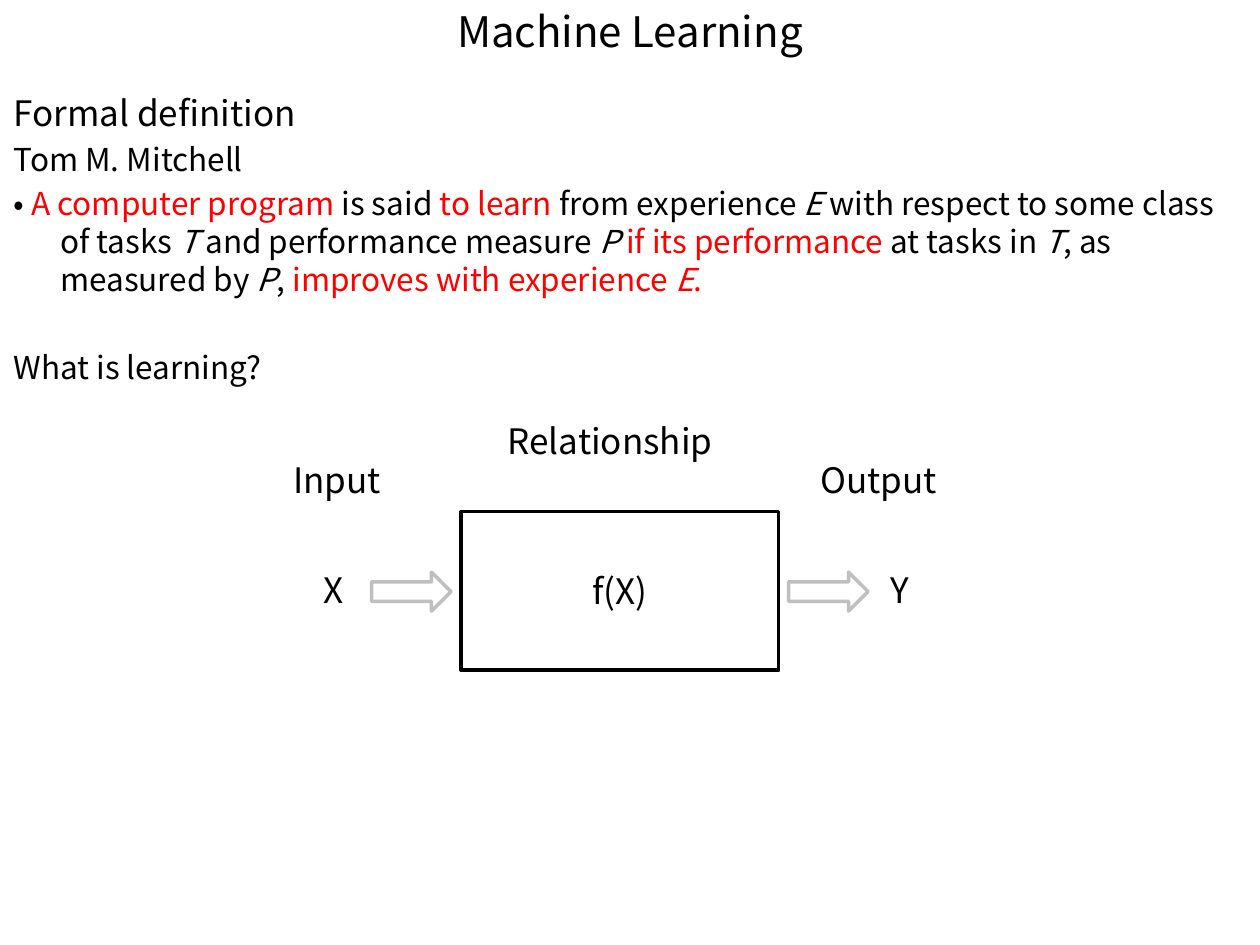
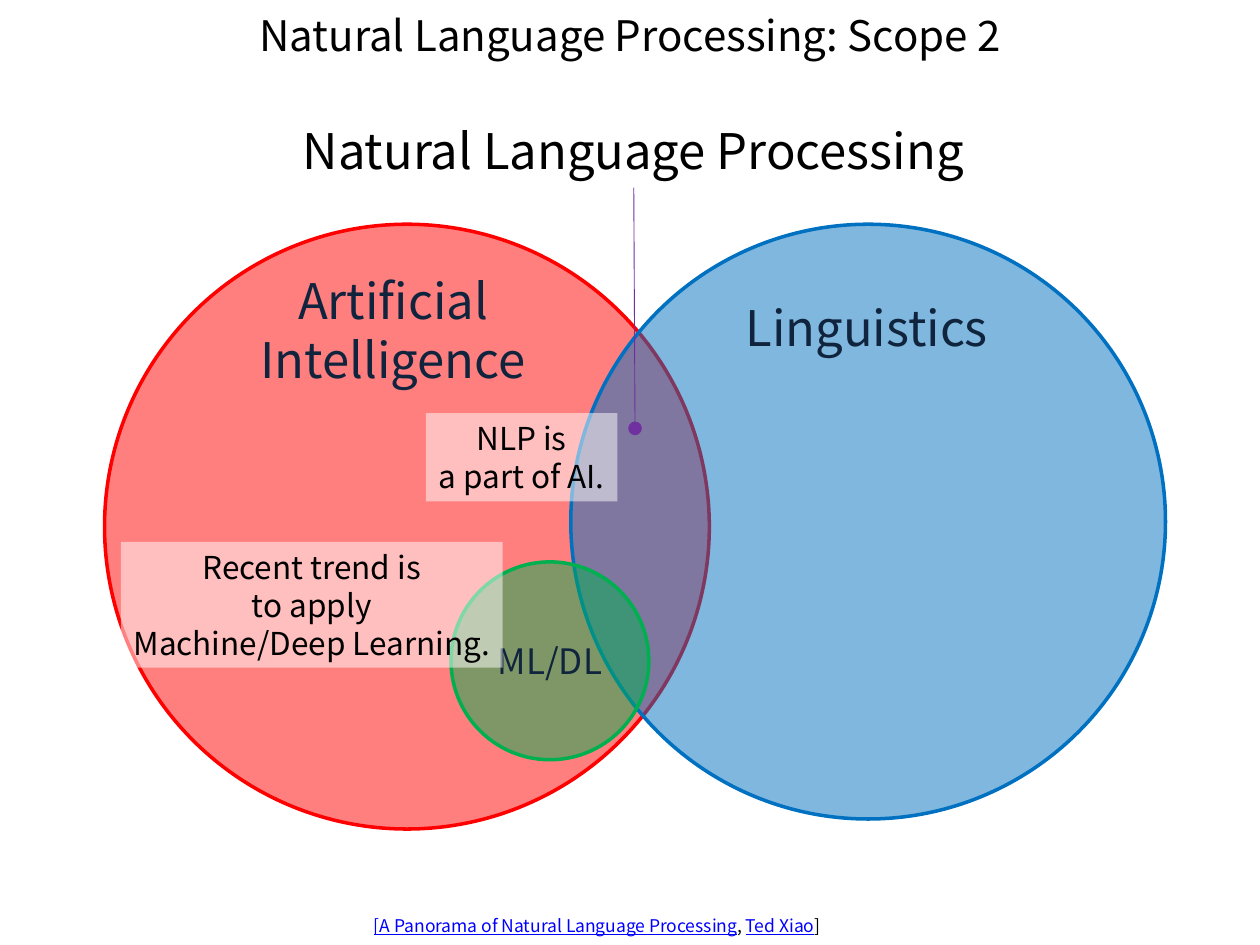
"""Builds two lecture slides on machine learning and the scope of natural language processing."""
from lxml.etree import SubElement
from pptx import Presentation
from pptx.dml.color import RGBColor
from pptx.enum.shapes import MSO_CONNECTOR, MSO_SHAPE
from pptx.enum.text import MSO_ANCHOR, MSO_AUTO_SIZE, PP_ALIGN
from pptx.oxml.ns import qn
from pptx.util import Emu, Pt

COLORS = {
    "black": "000000", "white": "FFFFFF", "navy": "10243E", "gray": "BFBFBF",
    "red": "FF0000", "blue": "0070C0", "green": "00B050", "purple": "7030A0",
    "link": "0000FF",
}
PX = 9144


def px(length):
    return Emu(length * PX)


def rgb(name):
    return RGBColor.from_string(COLORS[name])


class Deck:
    font = "Noto Sans CJK KR"

    def __init__(self):
        self.prs = Presentation()
        self.prs.slide_width, self.prs.slide_height = px(1000), px(750)
        self.slide = None

    def start(self, title, top=0):
        self.slide = self.prs.slides.add_slide(self.prs.slide_layouts[5])
        heading = self.slide.shapes.title
        heading.left, heading.top = px(0), px(top)
        heading.width, heading.height = px(1000), px(55)
        self.put_text(heading, title, 24, center=True, middle=True)

    def put_text(self, shape, text, size, color="black", center=False, middle=False, wrap=True):
        frame = shape.text_frame
        frame.auto_size = MSO_AUTO_SIZE.NONE
        frame.word_wrap = wrap
        frame.vertical_anchor = MSO_ANCHOR.MIDDLE if middle else MSO_ANCHOR.TOP
        for index, line in enumerate(text.split("\n")):
            paragraph = frame.add_paragraph() if index else frame.paragraphs[0]
            paragraph.text = line
            paragraph.alignment = PP_ALIGN.CENTER if center else PP_ALIGN.LEFT
            self.style(paragraph, size, color)

    def style(self, paragraph, size, color=None):
        paragraph.font.name = self.font
        paragraph.font.size = Pt(size)
        if color:
            paragraph.font.color.rgb = rgb(color)

    def box(self, at):
        return self.slide.shapes.add_textbox(*map(px, at))

    def label(self, at, text, size=20, **options):
        self.put_text(self.box(at), text, size, **options)

    def rich(self, at, paragraphs):
        frame = self.box(at).text_frame
        frame.word_wrap = True
        for index, (size, before, hanging, runs) in enumerate(paragraphs):
            paragraph = frame.add_paragraph() if index else frame.paragraphs[0]
            if hanging:
                properties = paragraph._p.get_or_add_pPr()
                properties.set("marL", str(px(38)))
                properties.set("indent", str(px(-37)))
            if before:
                paragraph.space_before = Pt(before)
            self.style(paragraph, size)
            for text, color, mark in runs:
                run = paragraph.add_run()
                run.text = text
                run.font.color.rgb = rgb(color)
                if mark == "italic":
                    run.font.italic = True
                elif mark == "underline":
                    run.font.underline = True

    def shape(self, kind, at, fill=None, line=None, alpha=100):
        shape = self.slide.shapes.add_shape(kind, *map(px, at))
        shape.shadow.inherit = False
        if fill:
            shape.fill.solid()
            shape.fill.fore_color.rgb = rgb(fill)
            if alpha < 100:
                color = shape._element.spPr.find(qn("a:solidFill"))[0]
                SubElement(color, qn("a:alpha"), val=str(alpha * 1000))
        else:
            shape.fill.background()
        if line:
            shape.line.color.rgb = rgb(line)
            shape.line.width = Pt(2)
        else:
            shape.line.fill.background()
        return shape

    def circle(self, left, top, diameter, color, alpha=50):
        at = (left, top, diameter, diameter)
        return self.shape(MSO_SHAPE.OVAL, at, color, color, alpha)

    def note(self, at, text):
        panel = self.shape(MSO_SHAPE.RECTANGLE, at, "white", alpha=50)
        self.put_text(panel, text, 18, center=True, wrap=False)

    def pointer(self, start, target, color):
        end = target.left + target.width // 2, target.top
        line = self.slide.shapes.add_connector(MSO_CONNECTOR.STRAIGHT, *map(px, start), *end)
        line.end_connect(target, 0)
        line.line.color.rgb = rgb(color)
        line.line.width = Pt(0.5)
        SubElement(line._element.spPr, qn("a:effectLst"))


def machine_learning(deck):
    deck.start("Machine Learning", top=-3)
    definition = [
        ("• ", "black", ""),
        ("A computer program ", "red", ""),
        ("is said ", "black", ""),
        ("to learn ", "red", ""),
        ("from experience ", "black", ""),
        ("E ", "black", "italic"),
        ("with respect to some class of tasks ", "black", ""),
        ("T ", "black", "italic"),
        ("and performance measure ", "black", ""),
        ("P ", "black", "italic"),
        ("if its performance ", "red", ""),
        ("at tasks in ", "black", ""),
        ("T", "black", "italic"),
        (", as measured by ", "black", ""),
        ("P", "black", "italic"),
        (", ", "black", ""),
        ("improves with experience ", "red", ""),
        ("E", "red", "italic"),
        (".", "red", ""),
    ]
    deck.rich((0, 68, 1000, 244), [
        (20, 0, True, [("Formal definition", "black", "")]),
        (18, 3.6, True, [("Tom M. Mitchell", "black", "")]),
        (18, 3.6, True, definition),
        (18, 28.8, True, [("What is learning?", "black", "")]),
    ])
    function = deck.shape(MSO_SHAPE.RECTANGLE, (366, 406, 252, 126), line="black")
    deck.put_text(function, "f(X)", 20, center=True, middle=True)
    for at, text in (
        ((247, 446, 36, 43), "X"),
        ((697, 446, 35, 43), "Y"),
        ((223, 359, 89, 43), "Input"),
        ((641, 359, 112, 43), "Output"),
        ((393, 328, 183, 43), "Relationship"),
    ):
        deck.label(at, text, wrap=False)
    for left in (295, 626):
        deck.shape(MSO_SHAPE.RIGHT_ARROW, (left, 454, 63, 31), line="gray")


def nlp_scope(deck):
    deck.start("Natural Language Processing: Scope 2")
    deck.circle(83, 178, 480, "red")
    deck.circle(453, 178, 472, "blue")
    learning = deck.circle(358, 446, 157, "green")
    deck.put_text(learning, "ML/DL", 20, "navy", center=True, middle=True)
    deck.note((96, 430, 303, 100), "Recent trend is\nto apply\nMachine/Deep Learning.")
    deck.note((338, 328, 152, 70), "NLP is\na part of AI.")
    deck.label((231, 91, 543, 56), "Natural Language Processing", 28, center=True, wrap=False)
    overlap = deck.circle(500, 336, 8, "purple", alpha=100)
    deck.pointer((503, 149), overlap, "purple")
    for at, field in (
        ((179, 210, 266, 103), "Artificial\nIntelligence"),
        ((555, 231, 266, 56), "Linguistics"),
    ):
        deck.label(at, field, 28, color="navy", center=True)
    deck.rich((287, 721, 386, 29), [(10, 0, False, [
        ("[A Panorama of Natural Language Processing", "link", "underline"),
        (", ", "black", ""),
        ("Ted Xiao", "link", "underline"),
        ("]", "black", ""),
    ])])


def main():
    deck = Deck()
    machine_learning(deck)
    nlp_scope(deck)
    deck.prs.save("out.pptx")


if __name__ == "__main__":
    main()
